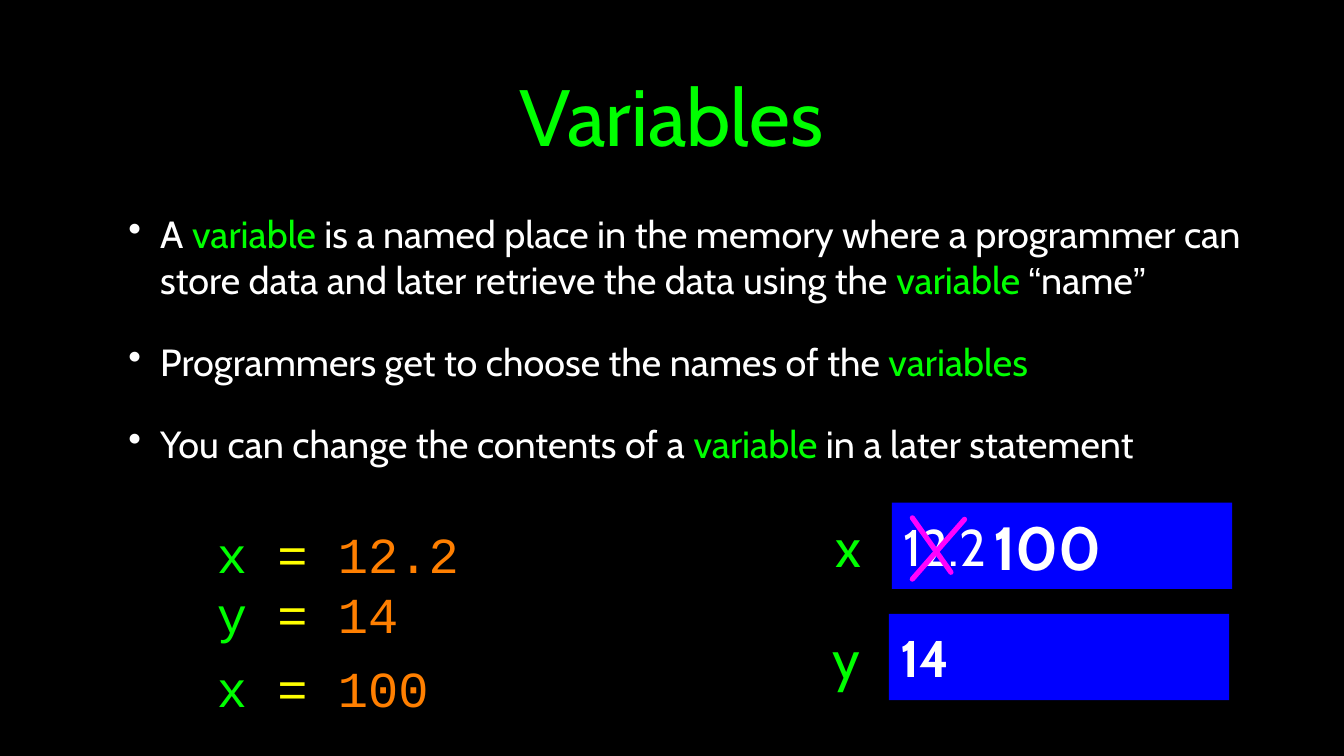
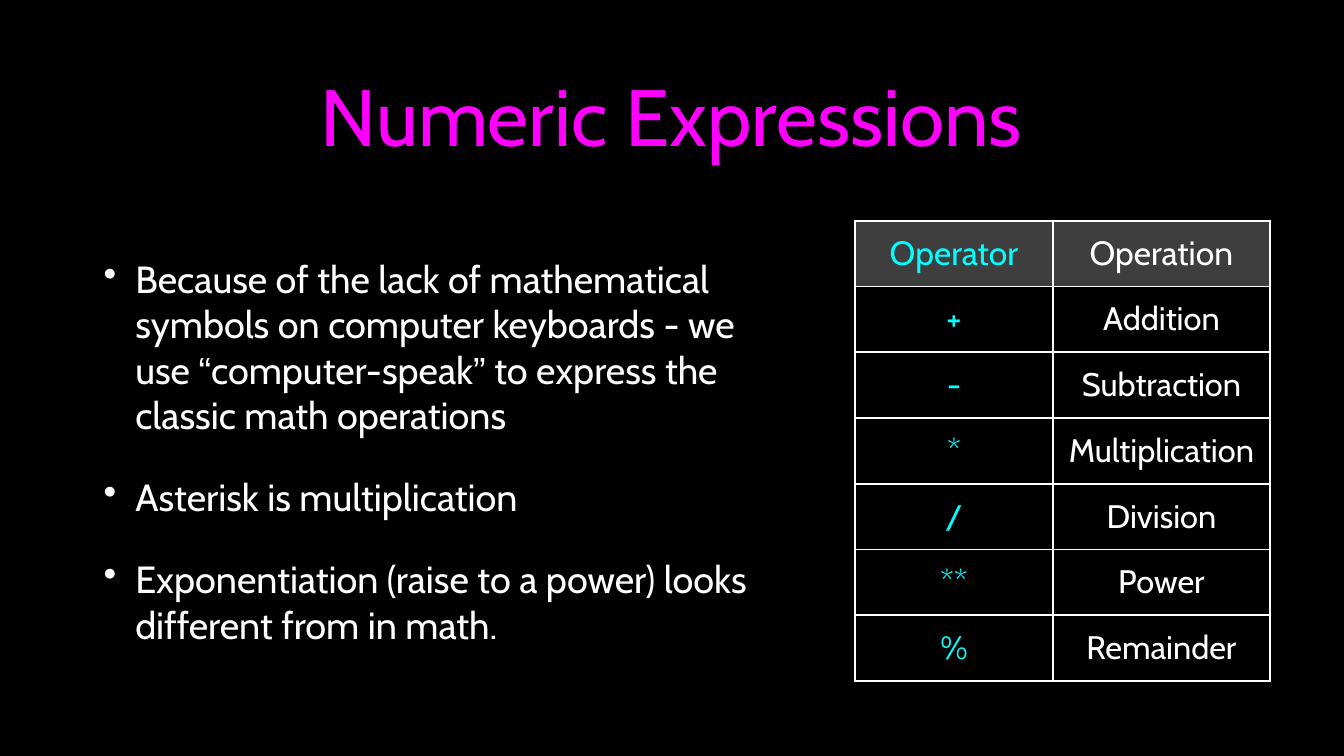
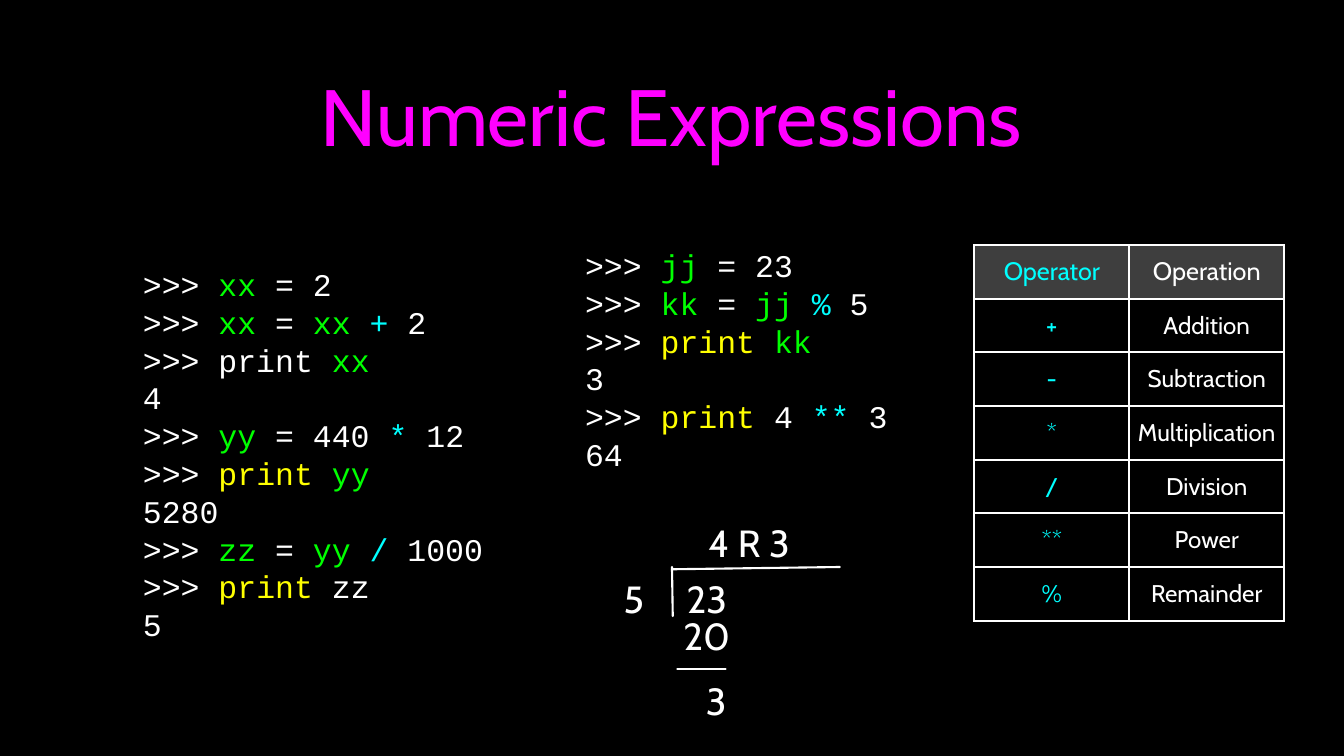
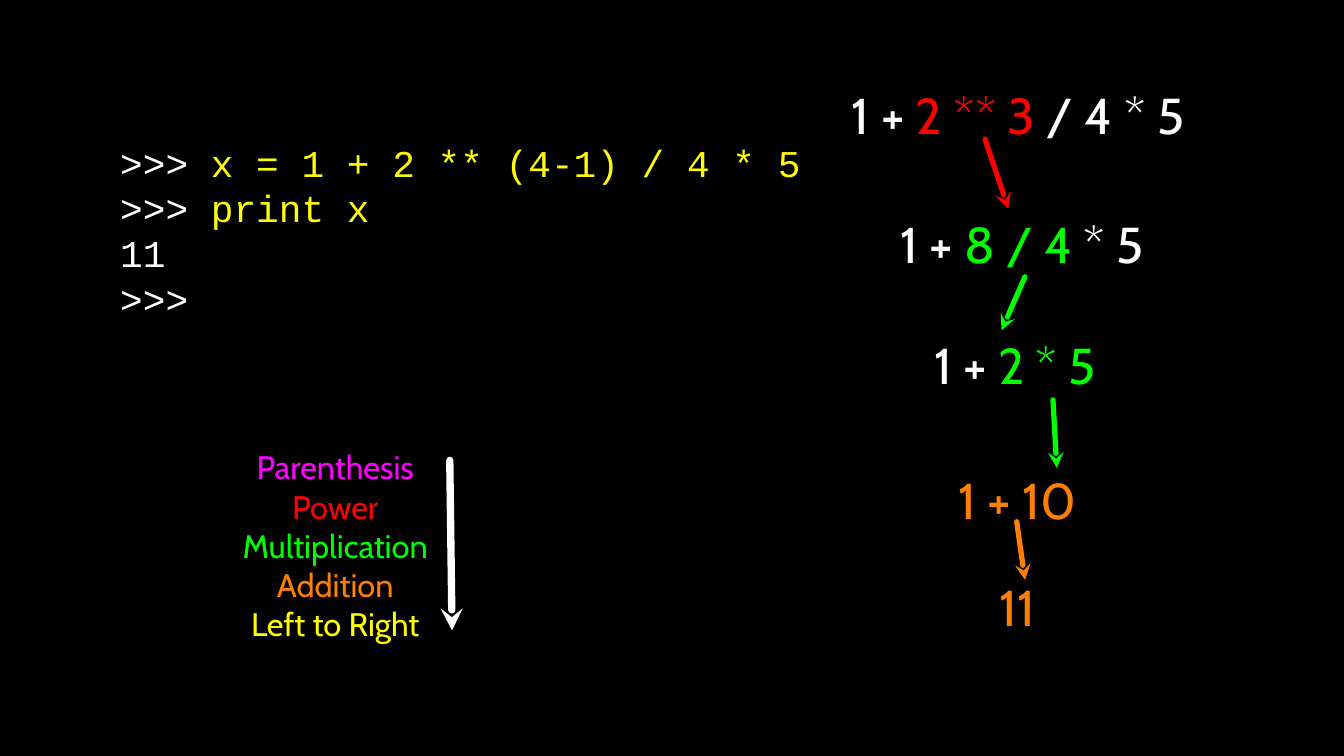
from lxml import etree
from pptx import Presentation
from pptx.dml.color import RGBColor
from pptx.enum.shapes import MSO_CONNECTOR, MSO_SHAPE
from pptx.enum.text import MSO_ANCHOR, PP_ALIGN
from pptx.oxml import parse_xml
from pptx.oxml.ns import nsdecls, qn
from pptx.util import Inches, Pt

COLORS = {
    "white": "FFFFFF", "black": "000000", "green": "00FF00", "pink": "FF00FF",
    "cyan": "00FFFF", "yellow": "FFFF00", "orange": "FF7F00", "red": "FF0000",
    "blue": "0000FF", "grey": "7F7F7F",
}
MARKS = {"w": "white", "g": "green", "p": "pink", "c": "cyan", "y": "yellow",
         "o": "orange", "r": "red", "q": "white"}
SANS, MONO, QUOTE = "Cabin", "Courier New", "Arial"
LINE_FACTOR = 1.2
INSET = 0.04
TITLE_AT = (1.26, 0.26, 15.24, 2.51)

VARIABLE_POINTS = [
    "A {g}variable{w} is a named place in the memory where a programmer can store data "
    "and later retrieve the data using the {g}variable {q}“{w}name{q}”",
    "Programmers get to choose the names of the {g}variables",
    "You can change the contents of a {g}variable {w}in a later statement",
]
ASSIGNMENTS = [
    ((2.87, 6.92, 4.42, 1.6), ["{g}x {y}= {o}12.2", "{g}y{y} = {o}14"]),
    ((2.87, 8.62, 4.14, 0.94), ["{g}x{y} = {o}100"]),
]
MEMORY = [
    ("x", (11.03, 6.83, 0.4, 0.78), " 12.2", (11.8, 6.65, 4.5, 1.14), False),
    ("y", (11.02, 8.31, 0.36, 0.78), " 14", (11.76, 8.12, 4.5, 1.14), True),
]
NEW_VALUE = ("100", (13.11, 6.8, 1.5, 0.84))
CROSS_OUT = [((12.76, 6.87), (12.07, 7.66)), ((12.07, 6.85), (12.58, 7.57))]

EXPRESSION_POINTS = [
    "Because of the lack of mathematical symbols on computer keyboards - we use "
    "{q}“{w}computer-speak{q}”{w} to express the classic math operations",
    "Asterisk is multiplication",
    "Exponentiation (raise to a power) looks different from in math.",
]
OPERATORS = [
    ("Operator", "Operation"), ("+", "Addition"), ("-", "Subtraction"),
    ("*", "Multiplication"), ("/", "Division"), ("**", "Power"), ("%", "Remainder"),
]

SESSIONS = [
    ((1.89, 3.1, 4.88, 5.81), [
        ">>> {g}xx{w} = 2",
        ">>> {g}xx{w} = {g}xx {c}+{w} 2",
        ">>> print {g}xx",
        "4",
        ">>> {g}yy{w} = 440 {c}*{w} 12",
        ">>> {y}print {g}yy",
        "5280",
        ">>> {g}zz{w} = {g}yy {c}/{w} 1000",
        ">>> {y}print{w} zz",
        "5",
    ]),
    ((7.74, 2.99, 4.4, 3.53), [
        ">>>{g} jj{w} = 23",
        ">>> {g}kk{w} = {g}jj {c}% {w}5",
        ">>> {y}print {g}kk",
        "3",
        ">>> {y}print{w} 4 {c}**{w} 3",
        "64",
    ]),
]
DIVISION_HEIGHT = 0.68
DIVISION = [("5", 8.2, 7.57, 0.37), ("23", 9.04, 7.57, 0.62), ("4 R 3", 9.31, 6.84, 1.2),
            ("20", 9.04, 8.07, 0.62), ("3", 9.29, 8.92, 0.37)]
DIVISION_LINES = [((8.89, 7.5), (8.9, 8.15)), ((8.89, 7.53), (11.11, 7.5)),
                  ((8.96, 8.85), (9.6, 8.85))]

PRECEDENCE = ["{p}Parenthesis", "{r}Power", "{g}Multiplication", "{o}Addition",
              "{y}Left to Right"]
PRECEDENCE_ARROW = ((5.98, 8.34), (5.95, 6.09))
STEP_HEIGHT = 0.87
STEPS = [
    ("1 + {r}2 ** 3{w} / 4 * 5", 11.27, 1.08, 4.68),
    ("1 + {g}8 / 4{w} * 5", 11.91, 2.78, 3.42),
    ("1 + {g}2 * 5", 12.36, 4.38, 2.53),
    ("{o}1 + 10", 12.68, 6.17, 1.88),
    ("{o}11", 13.22, 7.58, 0.79),
]
STEP_ARROWS = [
    ((13.34, 2.76), (13.03, 1.84), "red"),
    ((13.25, 4.37), (13.56, 3.66), "green"),
    ((13.98, 6.19), (13.93, 5.29), "green"),
    ((13.56, 7.67), (13.45, 6.9), "orange"),
]
PROGRAM = [">>> {y}x = 1 + 2 ** (4-1) / 4 * 5", ">>> {y}print x", "11", ">>>"]


def rgb(name):
    return RGBColor.from_string(COLORS[name])


def inches(values):
    return [Inches(v) for v in values]


def split_runs(text, color):
    first, *rest = text.split("{")
    runs = [(first, color, False)] if first else []
    for piece in rest:
        mark, words = piece.split("}")
        runs.append((words, MARKS[mark], mark == "q"))
    return runs


def add_bullet(p):
    pPr = p._p.get_or_add_pPr()
    pPr.set("marL", str(Inches(0.82)))
    pPr.set("indent", str(Inches(-0.42)))
    clr = etree.SubElement(pPr, qn("a:buClr"))
    etree.SubElement(clr, qn("a:srgbClr"), val=COLORS["white"])
    etree.SubElement(pPr, qn("a:buChar"), char="•")


def write(tf, lines, size=36, font=SANS, color="white", bold=False,
          align=PP_ALIGN.LEFT, bullet=False, gap=0):
    for i, line in enumerate([lines] if isinstance(lines, str) else lines):
        p = tf.add_paragraph() if i else tf.paragraphs[0]
        p.alignment = align
        if font == MONO:
            p.line_spacing = Pt(size * LINE_FACTOR)
        if i and gap:
            p.space_before = Pt(gap)
        if bullet:
            add_bullet(p)
        for words, shade, quote in split_runs(line, color):
            r = p.add_run()
            r.text = words
            r.font.name = QUOTE if quote else font
            r.font.size = Pt(size)
            r.font.bold = bold
            r.font.color.rgb = rgb(shade)


def set_frame(tf, inset=0):
    tf.word_wrap = True
    tf.vertical_anchor = MSO_ANCHOR.MIDDLE
    tf.margin_left = tf.margin_right = tf.margin_top = tf.margin_bottom = Inches(inset)


def add_text(s, at, lines, inset=0, fill=None, **fmt):
    if fill:
        sp = s.shapes.add_shape(MSO_SHAPE.RECTANGLE, *inches(at))
        sp.shadow.inherit = False
        sp.fill.solid()
        sp.fill.fore_color.rgb = rgb(fill)
        sp.line.fill.background()
    else:
        sp = s.shapes.add_textbox(*inches(at))
    set_frame(sp.text_frame, inset)
    write(sp.text_frame, lines, **fmt)


def add_line(s, start, end, color, width, arrow=False):
    c = s.shapes.add_connector(MSO_CONNECTOR.STRAIGHT, *inches(start + end))
    c.line.color.rgb = rgb(color)
    c.line.width = Pt(width)
    ln = c.line._get_or_add_ln()
    ln.set("cap", "rnd")
    if arrow:
        etree.SubElement(ln, qn("a:headEnd"), type="stealth")
    etree.SubElement(c._element.spPr, qn("a:effectLst"))


def add_points(s, at, points):
    add_text(s, at, points, inset=INSET, bullet=True, gap=35)


def style_cell(cell, header):
    tcPr = cell._tc.get_or_add_tcPr()
    for side in ("lnL", "lnR", "lnT", "lnB"):
        tcPr.append(parse_xml(
            f'<a:{side} {nsdecls("a")} w="{Pt(2)}"><a:solidFill>'
            f'<a:srgbClr val="{COLORS["white"]}"/></a:solidFill></a:{side}>'))
    if header:
        cell.fill.solid()
        cell.fill.fore_color.rgb = rgb("grey")
        clr = tcPr.find(qn("a:solidFill")).find(qn("a:srgbClr"))
        etree.SubElement(clr, qn("a:alpha"), val="49000")
    else:
        cell.fill.background()


def add_operators(s, left, top, widths, row_height, size):
    n = len(OPERATORS)
    table = s.shapes.add_table(
        n, 2, *inches((left, top, sum(widths), n * row_height))).table
    table.first_row = table.horz_banding = False
    for col, width in zip(table.columns, widths):
        col.width = Inches(width)
    for i, row in enumerate(OPERATORS):
        table.rows[i].height = Inches(row_height)
        for j, (text, color) in enumerate(zip(row, ("cyan", "white"))):
            cell = table.cell(i, j)
            cell.vertical_anchor = MSO_ANCHOR.MIDDLE
            cell.margin_left = cell.margin_right = Inches(INSET)
            cell.margin_top = cell.margin_bottom = Inches(INSET)
            style_cell(cell, i == 0)
            write(cell.text_frame, text, size=size if i == 0 else size - 1,
                  color=color, align=PP_ALIGN.CENTER)


def titled_slide(prs, title, color):
    s = prs.slides.add_slide(prs.slide_layouts[5])
    sp = s.shapes.title
    sp.left, sp.top, sp.width, sp.height = inches(TITLE_AT)
    set_frame(sp.text_frame, INSET)
    write(sp.text_frame, title, size=76, color=color, align=PP_ALIGN.CENTER)
    return s


def variables_slide(prs):
    s = titled_slide(prs, "Variables", "green")
    add_points(s, (1.26, 2.65, 15.24, 3.65), VARIABLE_POINTS)
    for name, name_at, value, value_at, bold in MEMORY:
        add_text(s, value_at, value, fill="blue", size=49, bold=bold)
        add_text(s, name_at, name, size=52, color="green", align=PP_ALIGN.CENTER)
    for at, code in ASSIGNMENTS:
        add_text(s, at, code, size=48, font=MONO)
    for start, end in CROSS_OUT:
        add_line(s, start, end, "pink", 5)
    value, at = NEW_VALUE
    add_text(s, at, value, size=58, bold=True, align=PP_ALIGN.CENTER)


def operators_slide(prs):
    s = titled_slide(prs, "Numeric Expressions", "pink")
    add_points(s, (0.93, 2.85, 9.24, 6.24), EXPRESSION_POINTS)
    add_operators(s, 11.31, 2.92, (2.62, 2.87), 0.87, 32)


def sessions_slide(prs):
    s = titled_slide(prs, "Numeric Expressions", "pink")
    for at, code in SESSIONS:
        add_text(s, at, code, size=30, font=MONO)
    add_operators(s, 12.89, 3.24, (2.05, 2.05), 0.71, 24)
    for start, end in DIVISION_LINES:
        add_line(s, start, end, "white", 2)
    for text, left, top, width in DIVISION:
        add_text(s, (left, top, width, DIVISION_HEIGHT), text, align=PP_ALIGN.CENTER)


def precedence_slide(prs):
    s = prs.slides.add_slide(prs.slide_layouts[6])
    add_text(s, (3.2, 5.94, 2.47, 2.54), PRECEDENCE, size=31, align=PP_ALIGN.CENTER)
    add_line(s, *PRECEDENCE_ARROW, "white", 7, arrow=True)
    for text, left, top, width in STEPS:
        add_text(s, (left, top, width, STEP_HEIGHT), text, size=48)
    for tip, tail, color in STEP_ARROWS:
        add_line(s, tip, tail, color, 5, arrow=True)
    add_text(s, (1.59, 1.43, 9.26, 3.23), PROGRAM, font=MONO)


def main():
    prs = Presentation()
    prs.slide_width, prs.slide_height = Inches(17.78), Inches(10)
    fill = prs.slide_master.background.fill
    fill.solid()
    fill.fore_color.rgb = rgb("black")
    for build in (variables_slide, operators_slide, sessions_slide, precedence_slide):
        build(prs)
    prs.save("out.pptx")


if __name__ == "__main__":
    main()
